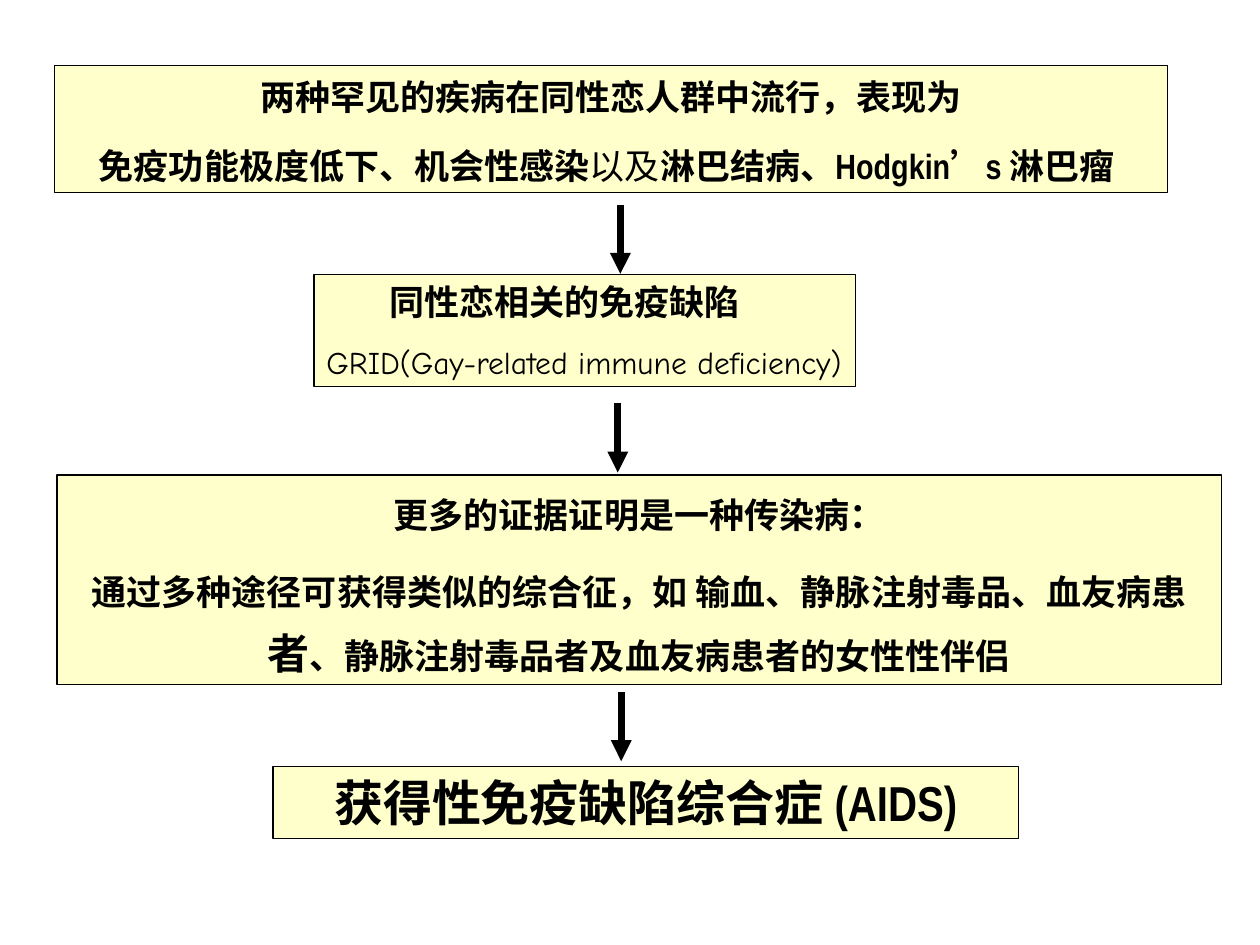
from dataclasses import dataclass

from pptx import Presentation
from pptx.dml.color import RGBColor
from pptx.enum.lang import MSO_LANGUAGE_ID
from pptx.enum.shapes import MSO_CONNECTOR, MSO_SHAPE
from pptx.enum.text import MSO_ANCHOR, MSO_AUTO_SIZE, PP_ALIGN
from pptx.oxml.ns import qn
from pptx.util import Pt
from lxml import etree

RECT = MSO_SHAPE.RECTANGLE
STRAIGHT = MSO_CONNECTOR.STRAIGHT
TOP = MSO_ANCHOR.TOP
GROW = MSO_AUTO_SIZE.SHAPE_TO_FIT_TEXT
LEFT, CENTER = PP_ALIGN.LEFT, PP_ALIGN.CENTER
CHINESE = MSO_LANGUAGE_ID.SIMPLIFIED_CHINESE


@dataclass(frozen=True)
class Theme:
    ink: RGBColor = RGBColor(0x00, 0x00, 0x00)
    panel: RGBColor = RGBColor(0xFF, 0xFF, 0xCC)
    narrow: str = "Arial Narrow"
    serif: str = "Times New Roman"
    comic: str = "Comic Neue"
    cjk: str = "Noto Sans CJK SC"
    small: int = 18
    body: int = 20
    large: int = 24
    result: int = 28
    border: float = 0.75
    arrow: int = 4


T = Theme()
ARROW_LENGTH = 39.5


def set_attrs(obj, values):
    for name, value in values.items():
        setattr(obj, name, value)


def add_run(p, text, name=T.narrow, size=T.body, bold=True):
    r = p.add_run()
    r.text = text
    set_attrs(r.font, {"name": name, "size": Pt(size), "bold": bold,
                       "language_id": CHINESE})
    r.font.color.rgb = T.ink
    ea = etree.SubElement(r.font._element, qn("a:ea"))
    ea.set("typeface", T.cjk)


def add_step(slide, box, paragraphs, spacing=1.0, align=CENTER, wrap=True,
             gap=12.5, indent=0):
    sp = slide.shapes.add_shape(RECT, *map(Pt, box))
    sp.shadow.inherit = False
    sp.fill.solid()
    sp.fill.fore_color.rgb = T.panel
    sp.line.color.rgb = T.ink
    sp.line.width = Pt(T.border)
    tf = sp.text_frame
    set_attrs(tf, {"word_wrap": wrap, "auto_size": GROW, "vertical_anchor": TOP})
    for i, runs in enumerate(paragraphs):
        p = tf.paragraphs[0] if i == 0 else tf.add_paragraph()
        set_attrs(p, {"alignment": align, "line_spacing": spacing,
                      "space_before": Pt(gap if i else 0)})
        pPr = p._p.get_or_add_pPr()
        pPr.set("hangingPunct", "0")
        if indent and i == 0:
            pPr.set("marL", str(Pt(indent)))
        for run in runs:
            add_run(p, *run)


def add_arrow(slide, x, y):
    c = slide.shapes.add_connector(STRAIGHT, Pt(x), Pt(y), Pt(x), Pt(y + ARROW_LENGTH))
    c.line.color.rgb = T.ink
    c.line.width = Pt(T.arrow)
    etree.SubElement(c.line._get_or_add_ln(), qn("a:tailEnd")).set("type", "triangle")
    etree.SubElement(c._element.spPr, qn("a:effectLst"))


def add_flow(slide):
    add_step(slide, (31, 37.5, 636, 72.5), [
        [("两种罕见的疾病在同性恋人群中流行，表现为",)],
        [("免疫功能极度低下、", T.serif),
         ("机会性感染",),
         ("以及", T.narrow, T.body, False),
         ("淋巴结病、", T.cjk),
         ("Hodgkin’s 淋巴瘤 ",)],
    ], spacing=1.1)
    add_step(slide, (179.5, 157, 309.5, 64), [
        [("同性恋相关的免疫缺陷",)],
        [("GRID(Gay-related immune deficiency)", T.comic, T.small, False)],
    ], align=LEFT, wrap=False, gap=11.2, indent=36)
    add_step(slide, (32.5, 271.5, 665.5, 119.5), [
        [("更多的证据证明是一种传染病：",)],
        [("通过多种途径可获得类似的综合征，",),
         ("如 输血、静脉注射毒品、血友病患", T.serif),
         ("者", T.serif, T.large),
         ("、静脉注射毒品者及血友病患者的女性性伴侣", T.serif)],
    ], spacing=1.3)
    add_step(slide, (156, 438, 426, 41), [
        [("获得性免疫缺陷综合症 (AIDS)", T.narrow, T.result)],
    ])
    for x, y in ((354.5, 117), (353, 230.5), (355, 395.5)):
        add_arrow(slide, x, y)


def main():
    prs = Presentation()
    set_attrs(prs, {"slide_width": Pt(720), "slide_height": Pt(540)})
    add_flow(prs.slides.add_slide(prs.slide_layouts[6]))
    prs.save("out.pptx")


if __name__ == "__main__":
    main()
